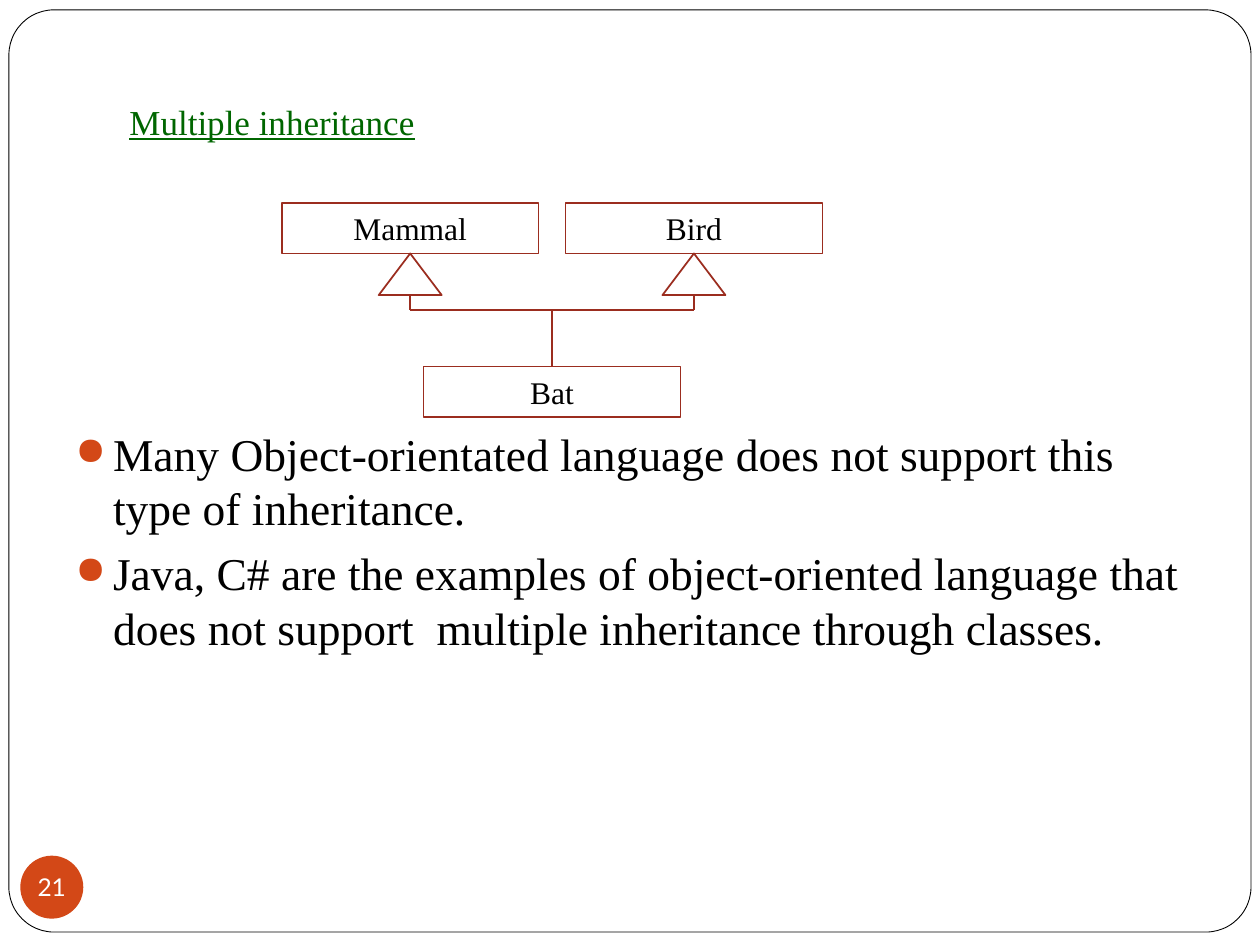
import lxml.etree
import pptx
import pptx.dml.color
import pptx.enum.shapes
import pptx.enum.text
import pptx.oxml.ns
import pptx.util

Cm = pptx.util.Cm
Pt = pptx.util.Pt
RGBColor = pptx.dml.color.RGBColor
Shape = pptx.enum.shapes.MSO_SHAPE
Anchor = pptx.enum.text.MSO_ANCHOR
Align = pptx.enum.text.PP_ALIGN
qn = pptx.oxml.ns.qn

WHITE = RGBColor(0xFF, 0xFF, 0xFF)
BLACK = RGBColor(0x00, 0x00, 0x00)
ORANGE = RGBColor(0xD3, 0x48, 0x17)
RUST = RGBColor(0x9B, 0x2D, 0x1F)
GREEN = RGBColor(0x00, 0x66, 0x00)
SERIF = "Times New Roman"
SANS = "Lato"

BULLETS = [
    "Many Object-orientated language does not support this type of inheritance.",
    "Java, C# are the examples of object-oriented language that does not "
    "support  multiple inheritance through classes.",
]


def add_shape(slide, kind, left, top, width, height, fill=None, line=None, weight=1):
    shape = slide.shapes.add_shape(kind, Cm(left), Cm(top), Cm(width), Cm(height))
    shape.shadow.inherit = False
    if fill is None:
        shape.fill.background()
    else:
        shape.fill.solid()
        shape.fill.fore_color.rgb = fill
    if line is None:
        shape.line.fill.background()
    else:
        shape.line.color.rgb = line
        shape.line.width = Pt(weight)
    return shape


def add_line(slide, x1, y1, x2, y2):
    connector = slide.shapes.add_connector(
        pptx.enum.shapes.MSO_CONNECTOR.STRAIGHT, Cm(x1), Cm(y1), Cm(x2), Cm(y2))
    connector.line.color.rgb = RUST
    connector.line.width = Pt(1)
    properties = connector._element.spPr
    lxml.etree.SubElement(properties, qn("a:effectLst"))
    return connector


def write(paragraph, text, size, color, font=SERIF, align=Align.LEFT):
    paragraph.text = text
    paragraph.alignment = align
    paragraph.font.size = Pt(size)
    paragraph.font.name = font
    paragraph.font.color.rgb = color


def add_bullet(paragraph):
    properties = paragraph._p.get_or_add_pPr()
    properties.set("marL", str(Cm(0.76)))
    properties.set("indent", str(-Cm(0.76)))
    color = lxml.etree.SubElement(properties, qn("a:buClr"))
    lxml.etree.SubElement(color, qn("a:srgbClr"), val=str(ORANGE))
    lxml.etree.SubElement(properties, qn("a:buSzPct"), val="85000")
    lxml.etree.SubElement(properties, qn("a:buChar"), char="●")


def add_frame(slide, left, top, width, height):
    frame = add_shape(slide, Shape.ROUNDED_RECTANGLE, left, top, width, height,
                      WHITE, BLACK, 0.5)
    frame.adjustments[0] = 0.049


def add_page_number(slide, left, top, diameter):
    badge = add_shape(slide, Shape.OVAL, left, top, diameter, diameter, ORANGE)
    text_frame = badge.text_frame
    text_frame.margin_left = text_frame.margin_right = 0
    text_frame.margin_top = text_frame.margin_bottom = 0
    text_frame.word_wrap = False
    text_frame.vertical_anchor = Anchor.MIDDLE
    write(text_frame.paragraphs[0], "21", 14, WHITE, SANS, Align.CENTER)


def add_title(slide, left, top, width, height):
    box = slide.shapes.add_textbox(Cm(left), Cm(top), Cm(width), Cm(height))
    box.text_frame.word_wrap = False
    paragraph = box.text_frame.paragraphs[0]
    write(paragraph, "Multiple inheritance", 20, GREEN)
    paragraph.font.underline = True


def add_class_box(slide, name, left, top, width, height):
    box = add_shape(slide, Shape.RECTANGLE, left, top, width, height, WHITE, RUST)
    box.text_frame.word_wrap = True
    box.text_frame.vertical_anchor = Anchor.TOP
    write(box.text_frame.paragraphs[0], name, 18, BLACK, align=Align.CENTER)
    return box


def add_diagram(slide, left, top, width, height):
    box_width, box_height = 5.18, 1.02
    arrow_width, arrow_height = 1.27, 0.84
    arrow_top = top + box_height
    bar_y = top + 2.16
    middle = left + width / 2

    # Parent classes, each with its inheritance arrow
    parents = {"Mammal": left, "Bird": left + width - box_width}
    centers = [parent_left + box_width / 2 for parent_left in parents.values()]
    for (name, parent_left), center in zip(parents.items(), centers):
        add_class_box(slide, name, parent_left, top, box_width, box_height)
        add_shape(slide, Shape.ISOSCELES_TRIANGLE, center - arrow_width / 2,
                  arrow_top, arrow_width, arrow_height, line=RUST)
        add_line(slide, center, arrow_top + arrow_height, center, bar_y)

    # Child class, joined to the bar between the parents
    child_top = top + height - box_height
    child = add_class_box(slide, "Bat", middle - box_width / 2, child_top,
                          box_width, box_height)
    add_line(slide, centers[0], bar_y, centers[1], bar_y)
    stem = add_line(slide, middle, bar_y, middle, child_top)
    stem.end_connect(child, 0)


def add_body(slide, left, top, width, height):
    box = slide.shapes.add_textbox(Cm(left), Cm(top), Cm(width), Cm(height))
    text_frame = box.text_frame
    text_frame.word_wrap = True
    for index, text in enumerate(BULLETS):
        paragraph = text_frame.add_paragraph() if index else text_frame.paragraphs[0]
        write(paragraph, text, 26, BLACK)
        paragraph.space_before = Pt(5.8)
        add_bullet(paragraph)


def main():
    presentation = pptx.Presentation()
    presentation.slide_width = Cm(25.4)
    presentation.slide_height = Cm(19.05)
    slide = presentation.slides.add_slide(presentation.slide_layouts[6])

    add_frame(slide, 0.18, 0.2, 25.04, 18.59)
    add_page_number(slide, 0.41, 17.25, 1.27)
    add_body(slide, 1.27, 8.46, 22.86, 9.19)
    add_diagram(slide, 5.68, 4.09, 10.9, 4.32)
    add_title(slide, 2.36, 1.9, 6.65, 1.12)

    presentation.save("out.pptx")


if __name__ == "__main__":
    main()
